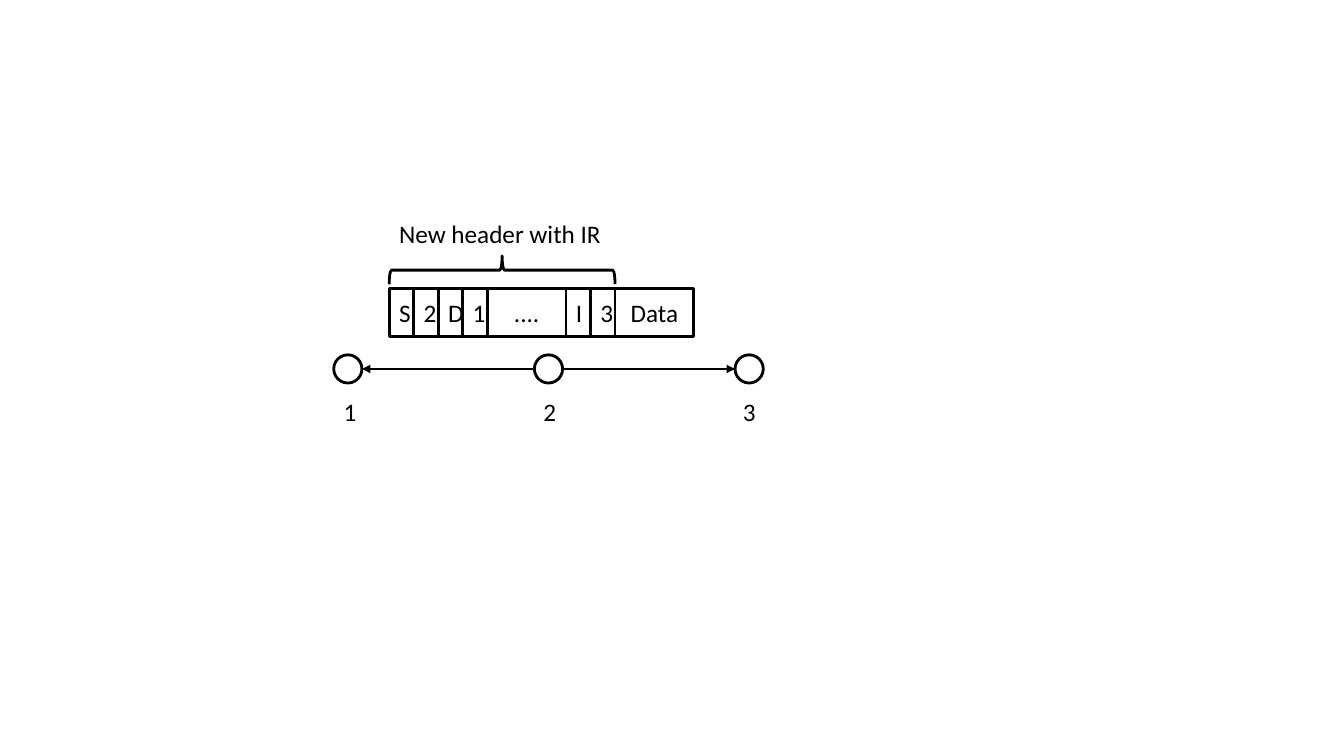
from typing import NamedTuple

from lxml.etree import SubElement
from pptx import Presentation
from pptx.dml.color import RGBColor
from pptx.enum.shapes import MSO_CONNECTOR, MSO_SHAPE
from pptx.enum.text import MSO_ANCHOR, PP_ALIGN
from pptx.oxml.ns import qn
from pptx.util import Inches, Pt

BLACK = RGBColor(0, 0, 0)
FONT = "Calibri"

NODE_LEFT, NODE_TOP, NODE_SIZE, NODE_STEP = 3.31, 3.52, 0.28, 1.99
LABEL_TOP, LABEL_STEP, LABEL_WIDTH, LABEL_HEIGHT = 3.88, 1.98, 0.32, 0.4
PACKET_LEFT, PACKET_TOP, PACKET_HEIGHT = 3.86, 2.86, 0.48
HEADER_WIDTH, WIDE_FIELD = 2.24, 0.78
NARROW_FIELD = (HEADER_WIDTH - WIDE_FIELD) / 6
BRACE_DEPTH, BRACE_MIDDLE = 0.28, 2.68


class Field(NamedTuple):
    """One field of the packet."""
    text: str
    width: float = NARROW_FIELD


FIELDS = [Field("S"), Field("2"), Field("D"), Field("1"), Field("....", WIDE_FIELD),
          Field("I"), Field("3"), Field("Data", WIDE_FIELD)]


def write(shape, text: str, align: PP_ALIGN) -> None:
    """Put one line of black text in a shape."""
    shape.text_frame.word_wrap = True
    para = shape.text_frame.paragraphs[0]
    para.text = text
    para.alignment = align
    para.font.name = FONT
    para.font.size = Pt(18)
    para.font.color.rgb = BLACK


def add_outline(page, kind: MSO_SHAPE, left: float, top: float, width: float, height: float):
    """Add an unfilled shape with a black outline."""
    shape = page.shapes.add_shape(kind, Inches(left), Inches(top), Inches(width), Inches(height))
    shape.shadow.inherit = False
    shape.fill.background()
    shape.line.color.rgb = BLACK
    shape.line.width = Pt(2)
    return shape


def add_label(page, text: str, left: float, top: float, width: float) -> None:
    """Add a left-aligned text box."""
    box = page.shapes.add_textbox(Inches(left), Inches(top), Inches(width), Inches(LABEL_HEIGHT))
    write(box, text, PP_ALIGN.LEFT)


def add_arrow(page, start: float, end: float) -> None:
    """Add a horizontal arrow through the middle of the nodes."""
    middle = Inches(NODE_TOP + NODE_SIZE / 2)
    arrow = page.shapes.add_connector(MSO_CONNECTOR.STRAIGHT, Inches(start), middle,
                                      Inches(end), middle)
    arrow.line.color.rgb = BLACK
    arrow.line.width = Pt(2)
    SubElement(arrow.line._get_or_add_ln(), qn("a:tailEnd"), type="triangle")
    SubElement(arrow._element.spPr, qn("a:effectLst"))


def add_nodes(page) -> None:
    """Draw the three numbered nodes and the arrows from the middle one."""
    lefts = [NODE_LEFT + index * NODE_STEP for index in range(3)]
    for index, left in enumerate(lefts):
        add_outline(page, MSO_SHAPE.OVAL, left, NODE_TOP, NODE_SIZE, NODE_SIZE)
        add_label(page, str(index + 1), NODE_LEFT + index * LABEL_STEP, LABEL_TOP, LABEL_WIDTH)
    first, second, third = lefts
    add_arrow(page, second, first + NODE_SIZE)
    add_arrow(page, second + NODE_SIZE, third)


def add_packet(page) -> None:
    """Draw the packet fields side by side."""
    left = PACKET_LEFT
    for field in FIELDS:
        cell = add_outline(page, MSO_SHAPE.RECTANGLE, left, PACKET_TOP, field.width, PACKET_HEIGHT)
        cell.text_frame.vertical_anchor = MSO_ANCHOR.MIDDLE
        write(cell, field.text, PP_ALIGN.CENTER)
        left += field.width


def add_header_brace(page) -> None:
    """Draw the brace over the header and its caption."""
    center = PACKET_LEFT + HEADER_WIDTH / 2
    brace = add_outline(page, MSO_SHAPE.LEFT_BRACE, center - BRACE_DEPTH / 2,
                        BRACE_MIDDLE - HEADER_WIDTH / 2, BRACE_DEPTH, HEADER_WIDTH)
    brace.rotation = 90
    add_label(page, "New header with IR", PACKET_LEFT, 2.12, 2.25)


deck = Presentation()
deck.slide_width, deck.slide_height = Inches(13.33), Inches(7.5)
page = deck.slides.add_slide(deck.slide_layouts[6])
add_nodes(page)
add_packet(page)
add_header_brace(page)
deck.save("out.pptx")
